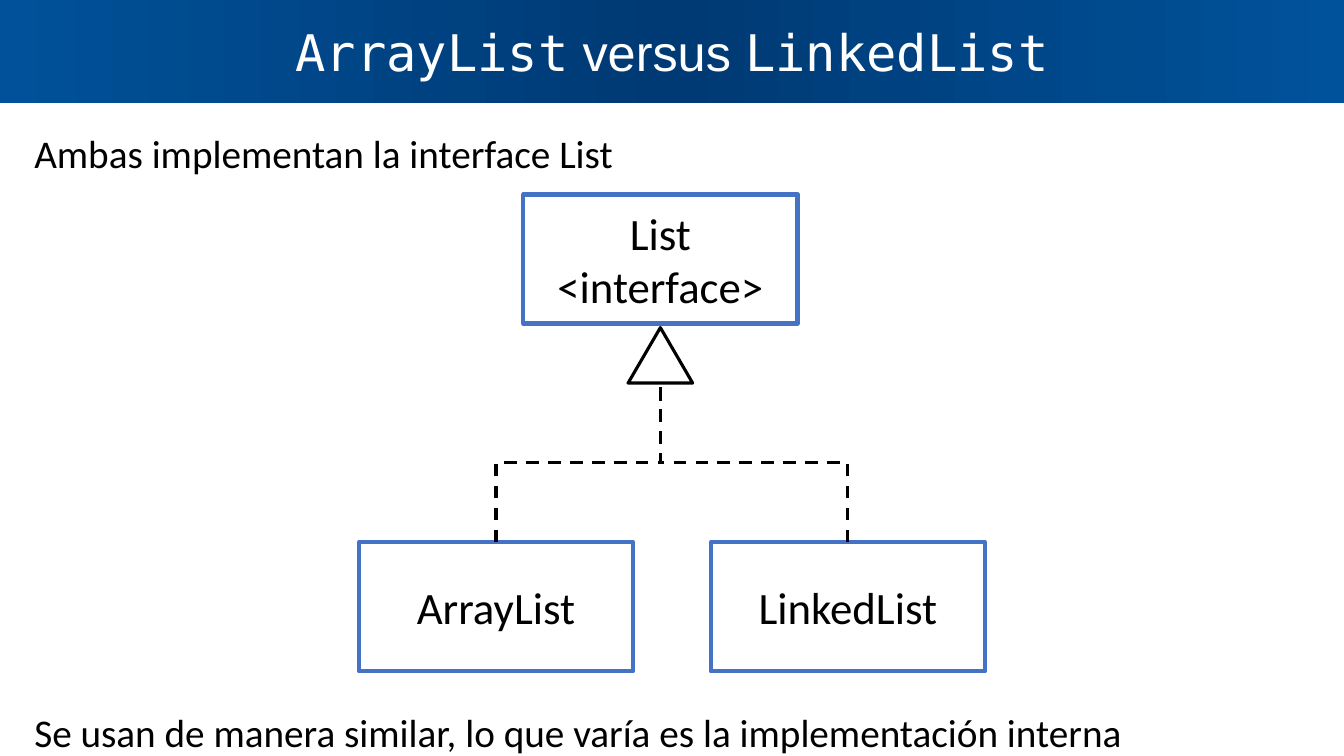
from copy import deepcopy

from lxml import etree
from pptx import Presentation
from pptx.dml.color import RGBColor
from pptx.enum import dml, shapes, text
from pptx.oxml.ns import qn
from pptx.util import Inches, Pt

COLORS = {
    "white": "FFFFFF",
    "black": "000000",
    "border": "4472C4",
    "bar_left": "00529B",
    "bar_middle": "003A74",
    "bar_right": "005199",
}
BODY_FONT, TITLE_FONT, CODE_FONT = "Calibri", "Arial", "DejaVu Sans Mono"


class SlideBuilder:
    def __init__(self, deck):
        self.page = deck.slides.add_slide(deck.slide_layouts[6])

    def color(self, name):
        return RGBColor.from_string(COLORS[name])

    def add_span(self, para, words, size, font=BODY_FONT, color="black"):
        span = para.add_run()
        span.text = words
        span.font.size = Pt(size)
        span.font.name = font
        span.font.color.rgb = self.color(color)

    def shape(self, kind, left, top, width, height):
        box = self.page.shapes.add_shape(
            kind, Inches(left), Inches(top), Inches(width), Inches(height))
        box.shadow.inherit = False
        box.text_frame.vertical_anchor = text.MSO_ANCHOR.MIDDLE
        return box

    def outlined(self, kind, left, top, width, height, line, weight):
        box = self.shape(kind, left, top, width, height)
        box.fill.solid()
        box.fill.fore_color.rgb = self.color("white")
        box.line.color.rgb = self.color(line)
        box.line.width = Pt(weight)
        return box

    def title_bar(self, width, height, spans):
        bar = self.shape(shapes.MSO_SHAPE.RECTANGLE, 0, 0, width, height)
        bar.line.fill.background()
        bar.fill.gradient()
        bar.fill.gradient_angle = 180
        stop_list = next(bar._element.spPr.iter(qn("a:gsLst")))
        stop_list.append(deepcopy(stop_list[0]))
        names = ("bar_left", "bar_middle", "bar_right")
        for index, (stop, name) in enumerate(zip(bar.fill.gradient_stops, names)):
            stop.position = index / 2
            stop.color.rgb = self.color(name)
        para = bar.text_frame.paragraphs[0]
        para.alignment = text.PP_ALIGN.CENTER
        for words, font in spans:
            self.add_span(para, words, 36, font, "white")

    def type_box(self, left, top, width, height, lines):
        box = self.outlined(shapes.MSO_SHAPE.RECTANGLE, left, top, width, height, "border", 3)
        frame = box.text_frame
        for index, words in enumerate(lines):
            para = frame.add_paragraph() if index else frame.paragraphs[0]
            para.alignment = text.PP_ALIGN.CENTER
            self.add_span(para, words, 32)

    def arrowhead(self, left, top, width, height):
        self.outlined(shapes.MSO_SHAPE.ISOSCELES_TRIANGLE,
                      left, top, width, height, "black", 2.25)

    def elbow_up(self, start, end):
        """Dashed elbow that leaves and arrives vertically: a rotated connector."""
        (start_x, start_y), (end_x, end_y) = start, end
        center_x, center_y = (start_x + end_x) / 2, (start_y + end_y) / 2
        side = 1 if start_x > end_x else -1
        half_rise = side * (start_y - end_y) / 2
        half_run = abs(start_x - end_x) / 2
        link = self.page.shapes.add_connector(
            shapes.MSO_CONNECTOR.ELBOW,
            Inches(center_x - half_rise), Inches(center_y + half_run),
            Inches(center_x + half_rise), Inches(center_y - half_run))
        properties = link._element.spPr
        degrees = 270 if side == 1 else 90
        properties.find(qn("a:xfrm")).set("rot", str(degrees * 60000))
        link.line.color.rgb = self.color("black")
        link.line.width = Pt(2.25)
        link.line.dash_style = dml.MSO_LINE.DASH
        etree.SubElement(properties, qn("a:effectLst"))

    def sentence(self, left, top, width, height, words):
        box = self.page.shapes.add_textbox(
            Inches(left), Inches(top), Inches(width), Inches(height))
        frame = box.text_frame
        frame.word_wrap = True
        frame.auto_size = text.MSO_AUTO_SIZE.SHAPE_TO_FIT_TEXT
        frame.margin_left = frame.margin_right = 0
        frame.margin_top = frame.margin_bottom = 0
        para = frame.paragraphs[0]
        para.line_spacing = 1.5
        self.add_span(para, words, 28)


def main():
    deck = Presentation()
    deck.slide_width, deck.slide_height = Inches(13.33), Inches(7.5)
    slide = SlideBuilder(deck)

    # Title
    slide.title_bar(13.33, 1.02, [
        ("ArrayList", CODE_FONT), (" versus ", TITLE_FONT), ("LinkedList", CODE_FONT)])

    # Interface and its implementations
    box_width, box_height = 2.72, 1.28
    interface_left, class_top = 5.19, 5.38
    classes = {"ArrayList": 3.56, "LinkedList": 7.05}
    slide.type_box(interface_left, 1.93, box_width, box_height, ["List", "<interface>"])
    for name, left in classes.items():
        slide.type_box(left, class_top, box_width, box_height, [name])

    # Inheritance arrow
    axis = interface_left + box_width / 2
    head_top, head_width, head_height = 3.25, 0.64, 0.55
    slide.arrowhead(axis - head_width / 2, head_top, head_width, head_height)
    for left in classes.values():
        slide.elbow_up((left + box_width / 2, class_top), (axis, head_top + head_height))

    # Sentences
    slide.sentence(0.34, 1.05, 8.98, 0.63, "Ambas implementan la interface List")
    slide.sentence(0.34, 6.79, 12.4, 0.63,
                   "Se usan de manera similar, lo que varía es la implementación interna")

    deck.save("out.pptx")


if __name__ == "__main__":
    main()
